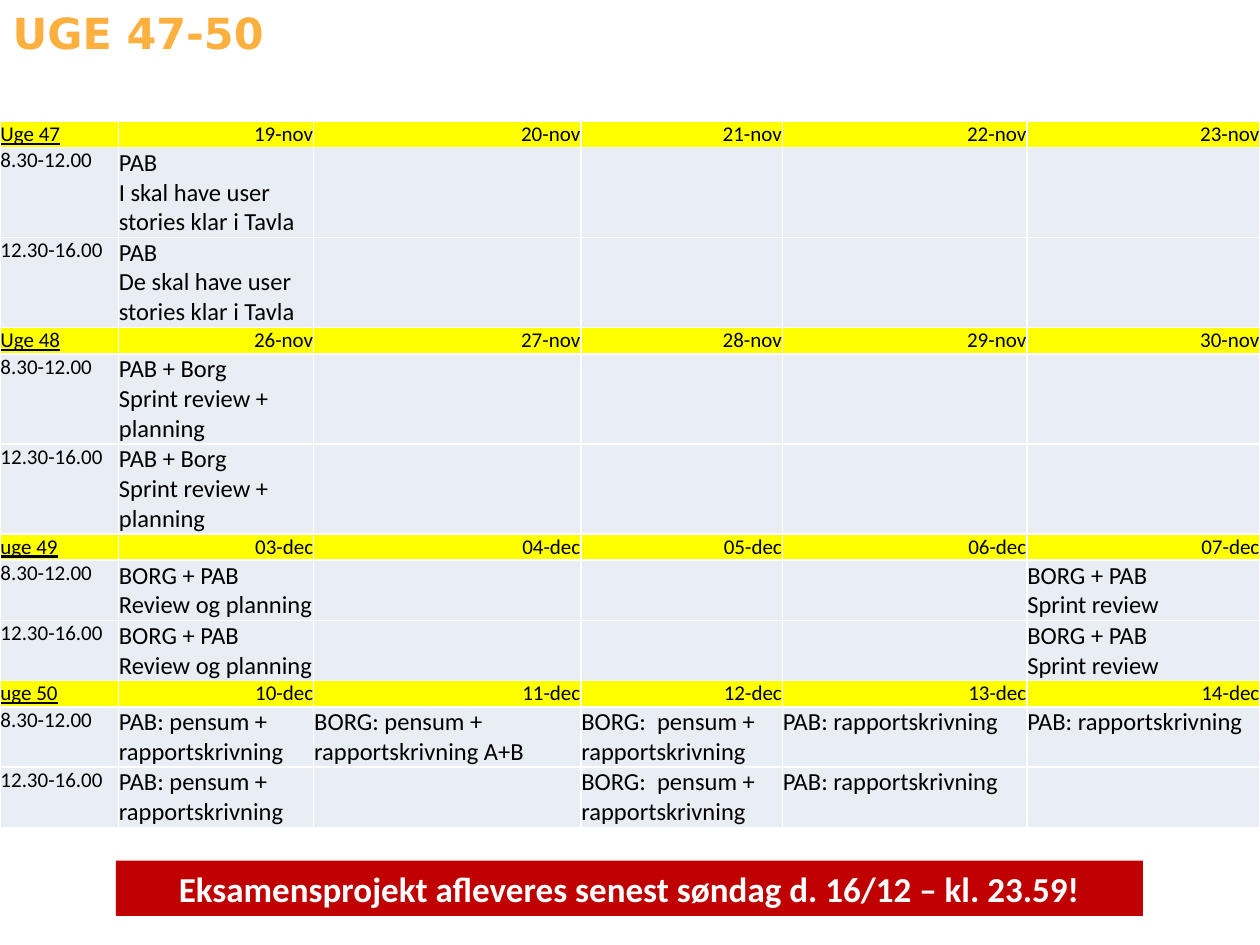
"""Build the timetable slide for weeks 47 to 50."""
from lxml import etree
from pptx import Presentation
from pptx import util as u
from pptx.dml.color import RGBColor
from pptx.enum import shapes, text
from pptx.oxml import ns

WIDE, HIGH = u.Inches(10), u.Inches(7.5)
COLS = [0.94, 1.55, 2.12, 1.6, 1.94, 1.85]
TIMES = ["8.30-12.00", "12.30-16.00"]
PLAN = "BORG + PAB\nReview og planning"
SPRINT = "PAB + Borg\nSprint review + planning"
LAST = "BORG + PAB\nSprint review"
READ, WRITE = "PAB: pensum + rapportskrivning", "PAB: rapportskrivning"
BORG = "BORG:\N{NO-BREAK SPACE} pensum + rapportskrivning"
WEEKS = [
    ("Uge 47", 19, "nov", 0.69, [
        ["PAB\nI skal have user stories klar i Tavla", "", "", "", ""],
        ["PAB\nDe skal have user stories klar i Tavla", "", "", "", ""]]),
    ("Uge 48", 26, "nov", 0.69, [[SPRINT, "", "", "", ""]] * 2),
    ("uge 49", 3, "dec", 0.46, [[PLAN, "", "", "", LAST]] * 2),
    ("uge 50", 10, "dec", 0.46, [
        [READ, "BORG: pensum + rapportskrivning A+B", BORG, WRITE, WRITE],
        [READ, "", BORG, WRITE, ""]]),
]


def paint(item, tone):
    """Give a fill or a font a solid hex colour."""
    if hasattr(item, "solid"):
        item.solid()
        item.fore_color.rgb = RGBColor.from_string(tone)
    else:
        item.color.rgb = RGBColor.from_string(tone)


def style(para, size, tone, face="Calibri", bold=False):
    """Set the font of a paragraph."""
    font = para.font
    font.name, font.size, font.bold = face, u.Pt(size), bold
    paint(font, tone)


deck = Presentation()
deck.slide_width, deck.slide_height = WIDE, HIGH
slide = deck.slides.add_slide(deck.slide_layouts.get_by_name("Title Only"))

title = slide.shapes.title
title.left, title.top = 0, 0
title.width, title.height = int(WIDE * 0.37), int(HIGH * 0.09)
frame = title.text_frame
frame.vertical_anchor = text.MSO_ANCHOR.TOP
frame.text = "UGE 47-50"
head = frame.paragraphs[0]
head.alignment = text.PP_ALIGN.LEFT
style(head, 24.5, "FBB040", "DejaVu Sans", True)

rows = []
for name, day, month, tall, slots in WEEKS:
    dates = [f"{day + step:02}-{month}" for step in range(5)]
    rows.append((0.21, True, [name] + dates))
    rows += [(tall, False, [time] + slot) for time, slot in zip(TIMES, slots)]

total = u.Inches(sum(row[0] for row in rows))
frame = slide.shapes.add_table(len(rows), len(COLS), 0, u.Inches(0.96), WIDE, total)
table = frame.table
table.first_row = table.horz_banding = False
for col, width in zip(table.columns, COLS):
    col.width = u.Inches(width)

for r, (tall, top, words) in enumerate(rows):
    table.rows[r].height = u.Inches(tall)
    for c, word in enumerate(words):
        cell = table.cell(r, c)
        cell.margin_left = cell.margin_top = cell.margin_right = u.Pt(0.3)
        cell.margin_bottom = 0
        props = cell._tc.get_or_add_tcPr()
        for side in ("lnL", "lnR", "lnT", "lnB"):
            line = etree.SubElement(props, ns.qn(f"a:{side}"), w=str(u.Pt(1)))
            solid = etree.SubElement(line, ns.qn("a:solidFill"))
            etree.SubElement(solid, ns.qn("a:srgbClr"), val="FFFFFF")
        paint(cell.fill, "FFFF00" if top else "E9EDF4")
        para = cell.text_frame.paragraphs[0]
        para.text = word
        style(para, 12 if top or c == 0 else 14, "000000")
        para.font.underline = top and c == 0
        if top and c:
            para.alignment = text.PP_ALIGN.RIGHT

note = slide.shapes.add_shape(
    shapes.MSO_SHAPE.RECTANGLE, u.Inches(0.92), u.Inches(6.83),
    u.Inches(8.15), u.Inches(0.44))
note.shadow.inherit = False
paint(note.fill, "C00000")
note.line.fill.background()
para = note.text_frame.paragraphs[0]
para.text = "Eksamensprojekt afleveres senest søndag d. 16/12 – kl. 23.59!"
para.alignment = text.PP_ALIGN.CENTER
style(para, 20, "FFFFFF", bold=True)

deck.save("out.pptx")
